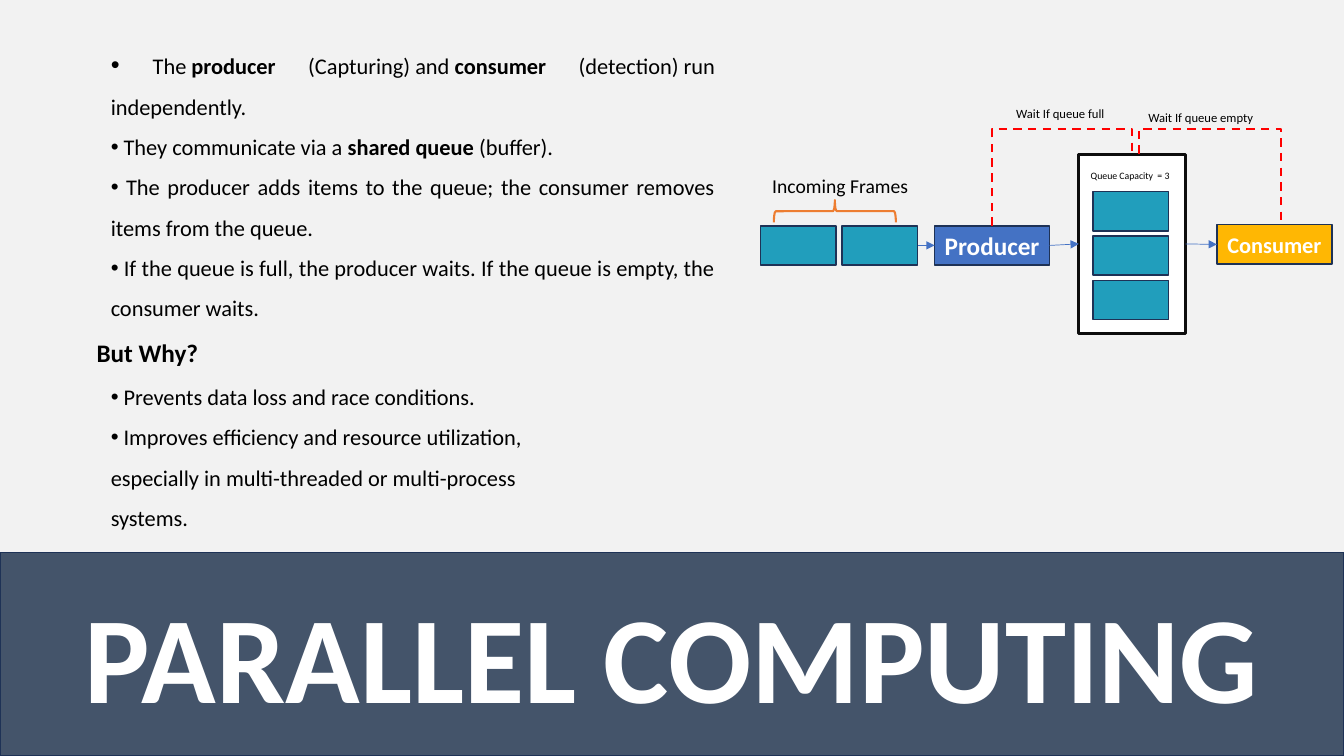
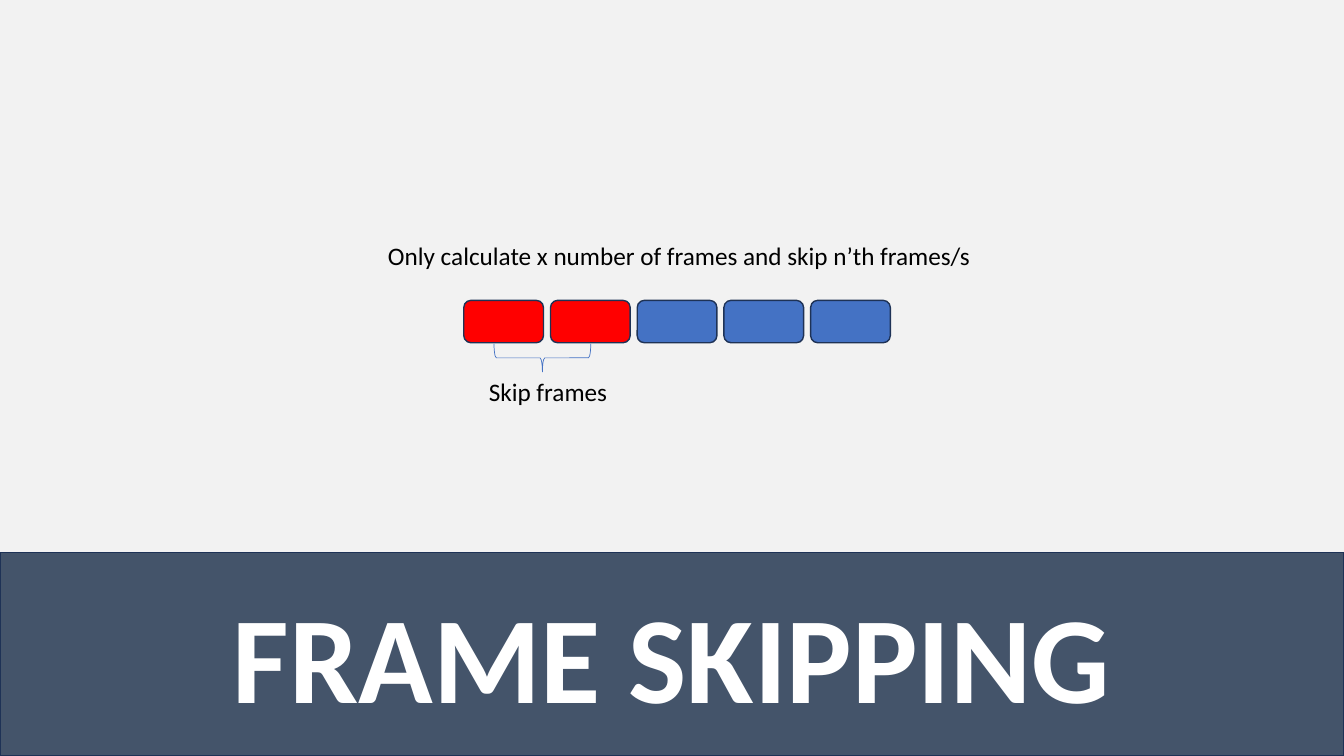
from lxml import etree
from pptx import Presentation
from pptx.dml.color import RGBColor
from pptx.enum import dml, shapes, text
from pptx.oxml import ns
from pptx.util import Inches, Pt

NAVY, SLATE, BLUE, TEAL = "1E3256", "44546A", "4472C4", "219EBC"
AMBER, ORANGE, RED = "FFB703", "ED7D31", "FF0000"
WHITE, BLACK, PAPER = "FFFFFF", "000000", "F2F2F2"
RECT = shapes.MSO_SHAPE.RECTANGLE
CENTER, JUSTIFY = text.PP_ALIGN.CENTER, text.PP_ALIGN.JUSTIFY
NBSP = chr(160)


def write(shape, content, size=16, color=BLACK, bold=False, align=None,
          spacing=None, bullet=False, wrap=True):
    """Fill a shape with one paragraph per line; asterisks switch bold on and off."""
    frame = shape.text_frame
    frame.word_wrap = wrap
    for number, line in enumerate(content.split("\n")):
        paragraph = frame.paragraphs[0] if number == 0 else frame.add_paragraph()
        if bullet:
            properties = paragraph._p.get_or_add_pPr()
            etree.SubElement(properties, ns.qn("a:buFont"), typeface="Arial")
            etree.SubElement(properties, ns.qn("a:buChar"), char="•")
        paragraph.alignment = align
        paragraph.line_spacing = spacing
        for position, part in enumerate(line.split("*")):
            if part:
                run = paragraph.add_run()
                run.text = part
                run.font.name = "Calibri"
                run.font.size = Pt(size)
                run.font.bold = bold or position % 2 == 1
                run.font.color.rgb = RGBColor.from_string(color)
    return shape


def draw(slide, place, fill=None, kind=RECT, line=NAVY, weight=1, rotation=0):
    shape = slide.shapes.add_shape(kind, *map(Inches, place))
    shape.shadow.inherit = False
    shape.rotation = rotation
    if fill:
        shape.fill.solid()
        shape.fill.fore_color.rgb = RGBColor.from_string(fill)
    else:
        shape.fill.background()
    shape.line.color.rgb = RGBColor.from_string(line)
    shape.line.width = Pt(weight)
    return shape


deck = Presentation()
deck.slide_width, deck.slide_height = Inches(13.33), Inches(7.5)

# Background and title band shared by both slides
for title in ("PARALLEL COMPUTING", "FRAME SKIPPING"):
    slide = deck.slides.add_slide(deck.slide_layouts[6])
    slide.background.fill.solid()
    slide.background.fill.fore_color.rgb = RGBColor.from_string(PAPER)
    write(draw(slide, (0, 5.48, 13.33, 2.02), SLATE), title,
          size=88, color=WHITE, bold=True, align=CENTER)
parallel, skipping = deck.slides

# Parallel computing: explanation
points = "\n".join((
    f" **The{NBSP}*producer *(Capturing){NBSP}and{NBSP}*consumer *(detection){NBSP}run independently.",
    f" They communicate via a{NBSP}*shared queue*{NBSP}(buffer).",
    " The producer adds items to the queue; the consumer removes items from the queue.",
    " If the queue is full, the producer waits. If the queue is empty, the consumer waits.",
))
benefits = "\n".join((
    " Prevents data loss and race conditions.",
    " Improves efficiency and resource utilization, especially in multi-threaded or multi-process systems.",
))
explanation = [
    ((1, 0.29, 6.19, 2.94), points, dict(align=JUSTIFY, spacing=1.5, bullet=True)),
    ((0.86, 3, 1.37, 0.62), "But Why?", dict(size=18, bold=True, align=JUSTIFY, spacing=2.0)),
    ((1, 3.62, 4.95, 1.67), benefits, dict(spacing=1.5, bullet=True)),
]
for place, content, style in explanation:
    passage = write(parallel.shapes.add_textbox(*map(Inches, place)), content, **style)
    if content == points:
        passage.text_frame.paragraphs[0].runs[0].font.size = Pt(18)

# Parallel computing: producer and consumer diagram
queue = draw(parallel, (10.7, 1.53, 1.06, 1.78), WHITE, line="0D0D0D", weight=2.25)
for row in range(3):
    draw(parallel, (10.84, 1.9 + 0.44 * row, 0.75, 0.39), TEAL)
for column in range(2):
    incoming = draw(parallel, (7.54 + 0.81 * column, 2.24, 0.75, 0.39), TEAL)
producer = write(draw(parallel, (9.27, 2.24, 1.14, 0.39), BLUE), "Producer",
                 size=18, color=WHITE, bold=True, align=CENTER, wrap=False)
consumer = write(draw(parallel, (12.07, 2.23, 1.14, 0.39), AMBER), "Consumer",
                 color=WHITE, bold=True, align=CENTER, wrap=False)
draw(parallel, (8.17, 1.49, 0.22, 1.21), kind=shapes.MSO_SHAPE.LEFT_BRACE,
     line=ORANGE, weight=1.5, rotation=90)

for source, target in ((incoming, producer), (producer, queue), (queue, consumer)):
    arrow = parallel.shapes.add_connector(shapes.MSO_CONNECTOR.STRAIGHT, 0, 0, 0, 0)
    arrow.begin_connect(source, 3)
    arrow.end_connect(target, 1)
    arrow.line.color.rgb = RGBColor.from_string(BLUE)
    arrow.line.width = Pt(0.5)
    etree.SubElement(arrow.line._get_or_add_ln(), ns.qn("a:tailEnd"), type="triangle")
    etree.SubElement(arrow._element.spPr, ns.qn("a:effectLst"))

# Each wait loop is an elbow turned a quarter, so its box is placed before turning
wait_loops = [
    ((10.89, 2.24), (10.18, 0.85), (0, 0), 90, 135000),
    ((12, 1.17), (11.3, 2.58), (0, 0), 270, -35600),
]
wait_loops = [
    (10.18, 1.19, 0.71, 1.39, True, 90, 135000),
    (11.65, 1.17, 0.7, 1.41, False, 270, -35600),
]
for left, top, width, height, upward, turn, bend in wait_loops:
    start, end = (top + height, top) if upward else (top, top + height)
    loop = parallel.shapes.add_connector(
        shapes.MSO_CONNECTOR.ELBOW, *map(Inches, (left + width, start, left, end)))
    loop.line.color.rgb = RGBColor.from_string(RED)
    loop.line.width = Pt(1.5)
    loop.line.dash_style = dml.MSO_LINE.DASH
    properties = loop._element.spPr
    properties.find(ns.qn("a:xfrm")).set("rot", str(turn * 60000))
    geometry = properties.find(ns.qn("a:prstGeom"))
    etree.SubElement(geometry.find(ns.qn("a:avLst")), ns.qn("a:gd"),
                     name="adj1", fmla=f"val {bend}")
    etree.SubElement(properties, ns.qn("a:effectLst"))

# Frame skipping: row of frames, the first two skipped
for position, color in enumerate((RED, RED, BLUE, BLUE, BLUE)):
    draw(skipping, (4.6 + 0.86 * position, 2.98, 0.79, 0.42), color,
         kind=shapes.MSO_SHAPE.ROUNDED_RECTANGLE)
draw(skipping, (5.24, 3.07, 0.28, 0.96), kind=shapes.MSO_SHAPE.LEFT_BRACE,
     line=BLUE, weight=0.5, rotation=270)

# Labels of both diagrams
labels = [
    (parallel, (10.72, 1.63, 1.06, 0.22), "Queue Capacity  = 3", dict(size=7)),
    (parallel, (7.56, 1.56, 1.86, 0.41), "Incoming Frames", dict(size=14, spacing=1.5)),
    (parallel, (9.98, 1, 1.11, 0.25), "Wait If queue full", dict(size=9)),
    (parallel, (11.29, 1.04, 1.28, 0.25), "Wait If queue empty", dict(size=9)),
    (skipping, (3.75, 2.18, 6.17, 0.51),
     "Only calculate x number of frames and skip n’th frames/s",
     dict(size=18, align=JUSTIFY, spacing=1.5)),
    (skipping, (4.75, 3.68, 1.57, 0.4), "Skip frames", dict(size=18)),
]
for slide, place, content, style in labels:
    write(slide.shapes.add_textbox(*map(Inches, place)), content, **style)

deck.save("out.pptx")
